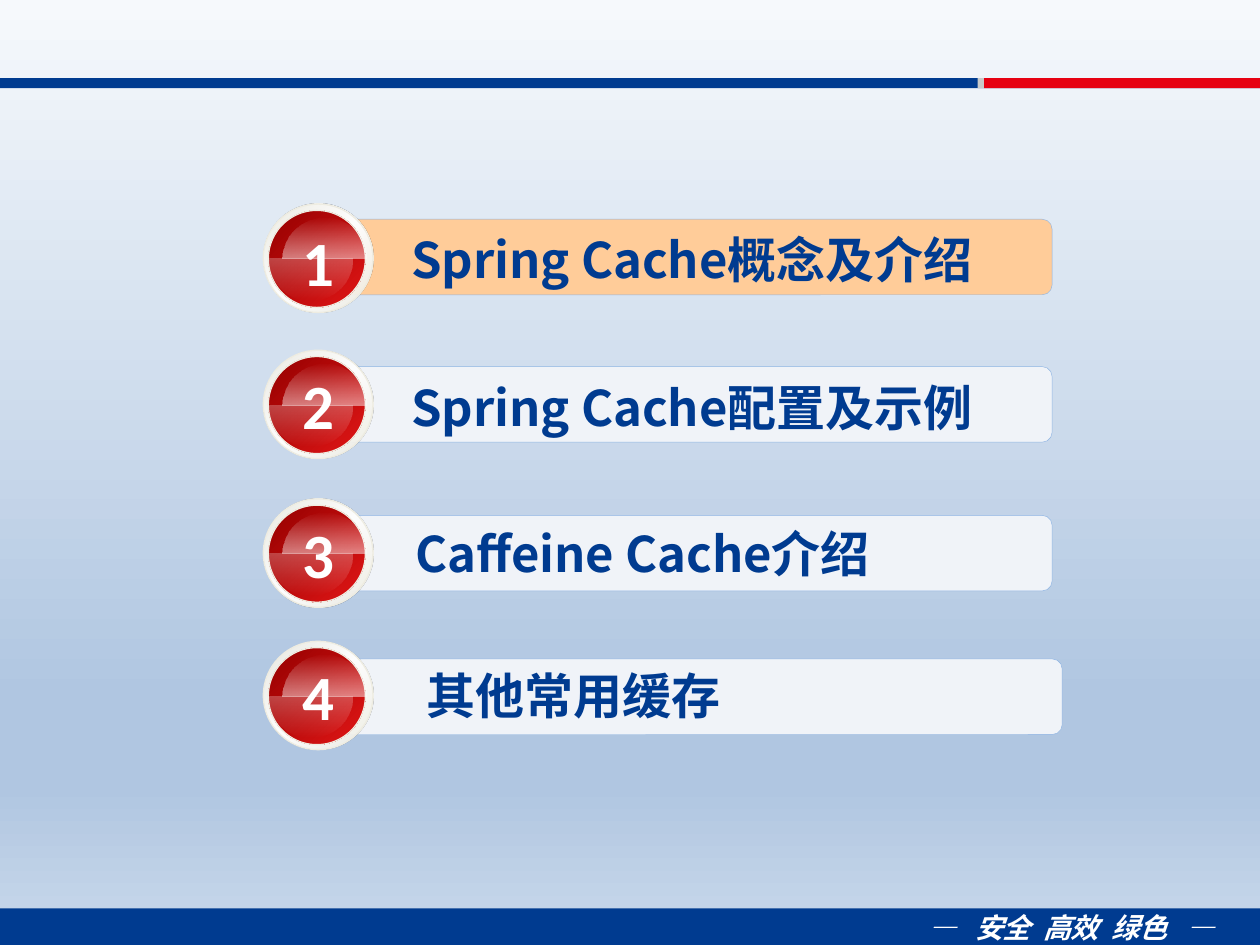
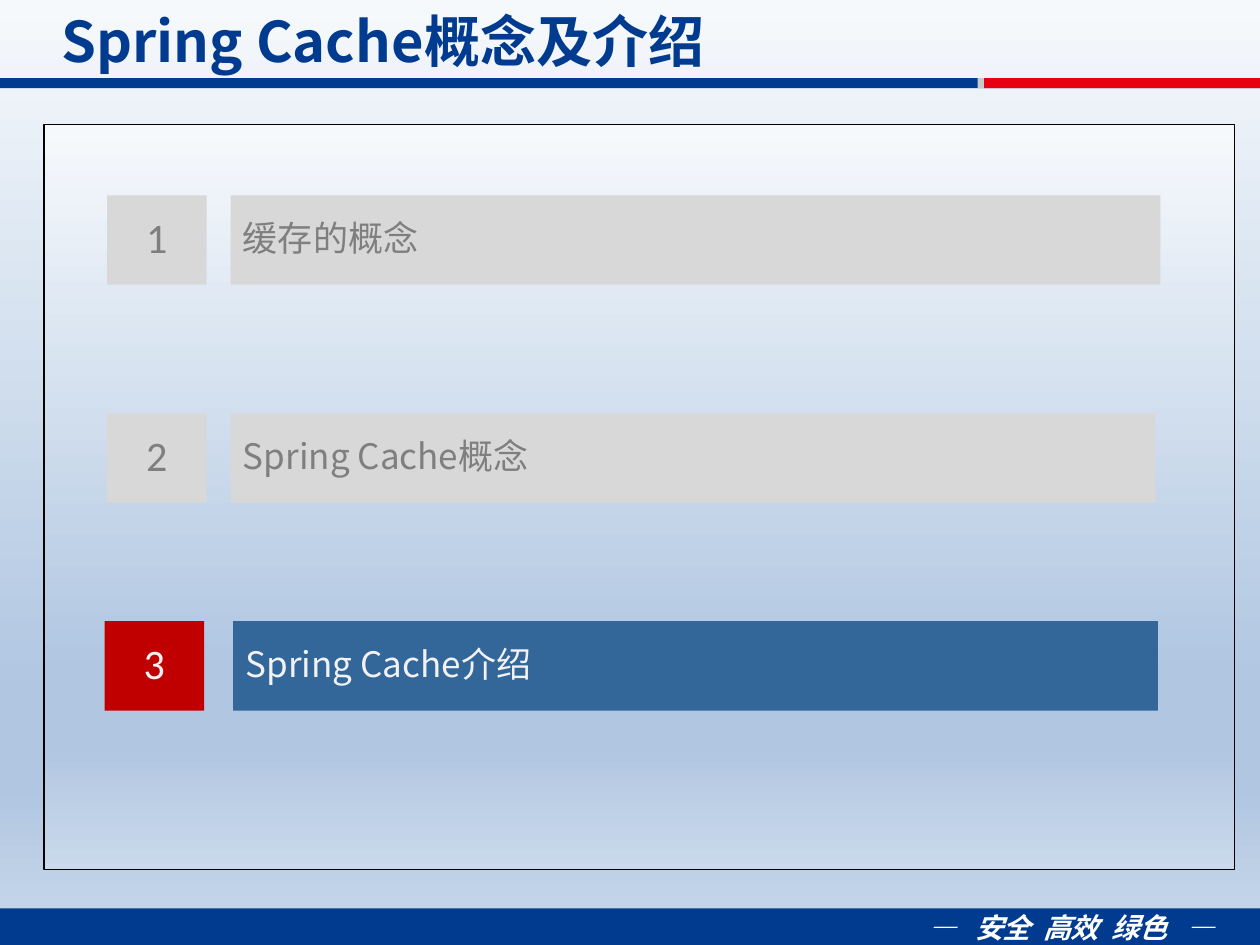
from dataclasses import dataclass
from typing import NamedTuple

from lxml.etree import Element, SubElement
from pptx import Presentation
from pptx.dml.color import RGBColor
from pptx.enum.shapes import MSO_SHAPE as Shape
from pptx.enum.text import MSO_ANCHOR as Anchor, MSO_AUTO_SIZE as AutoSize, PP_ALIGN as Align
from pptx.oxml.ns import qn
from pptx.util import Inches, Pt

# Shared colours and fonts
NAVY = RGBColor(0x00, 0x3B, 0x90)
RED = RGBColor(0xE6, 0x00, 0x12)
SILVER = RGBColor(0xC9, 0xCA, 0xCA)
WHITE = RGBColor(0xFF, 0xFF, 0xFF)
BLACK = RGBColor(0x00, 0x00, 0x00)
PEACH = RGBColor(0xFF, 0xCC, 0x99)
MIST = RGBColor(0xF0, 0xF3, 0xF8)
SKY_EDGE = RGBColor(0x8E, 0xB4, 0xE3)
IVORY = RGBColor(0xEE, 0xEC, 0xE1)
DARK_RED = RGBColor(0x96, 0x00, 0x00)
BRIGHT_RED = RGBColor(0xE0, 0x16, 0x16)
CRIMSON = RGBColor(0xC0, 0x00, 0x00)
STEEL = RGBColor(0x33, 0x66, 0x99)
GREY = RGBColor(0xD8, 0xD8, 0xD8)
GREY_TEXT = RGBColor(0x7F, 0x7F, 0x7F)
PALE_TEXT = RGBColor(0xF2, 0xF2, 0xF2)
ICE = RGBColor(0xF6, 0xF9, 0xFC)
HAZE = RGBColor(0xB0, 0xC6, 0xE1)
HORIZON = RGBColor(0xCA, 0xD9, 0xEB)
CJK_FONT = "Noto Sans CJK SC"
DIGIT_FONT = "Calibri"


class Stop(NamedTuple):
    position: int
    color: RGBColor
    opacity: int = 100


class Area(NamedTuple):
    left: float
    top: float
    width: float
    height: float


@dataclass
class TextStyle:
    size: int
    color: RGBColor
    font: str = CJK_FONT
    bold: bool = False
    italic: bool = False
    align: Align = Align.LEFT
    anchor: Anchor = Anchor.TOP
    line_spacing: float = 1.0
    before: float = 0  # share of the text size


@dataclass
class AgendaEntry:
    text: str
    bar_left: float
    bar_top: float
    label: Area
    bead_top: float
    number_top: float
    fill: RGBColor = MIST


@dataclass
class SectionRow:
    text: str
    top: float
    number_left: float
    bar_left: float
    bar_width: float
    number_fill: RGBColor = GREY
    bar_fill: RGBColor = GREY
    color: RGBColor = GREY_TEXT


SKY = [Stop(0, ICE), Stop(74, HAZE), Stop(83, HAZE), Stop(100, HORIZON)]
RIM = [Stop(0, IVORY, 90), Stop(50, WHITE), Stop(100, IVORY, 90)]
BEAD = [Stop(0, DARK_RED), Stop(100, BRIGHT_RED)]

TITLE_STYLE = TextStyle(32, NAVY, bold=True)
FOOTER_STYLE = TextStyle(16, WHITE, bold=True, italic=True)
LABEL_STYLE = TextStyle(28, NAVY, bold=True, align=Align.CENTER, line_spacing=1.2, before=0.5)
BEAD_STYLE = TextStyle(36, WHITE, DIGIT_FONT, bold=True, align=Align.CENTER, anchor=Anchor.MIDDLE)

FOOTER_WORDS = ["—", "安全", "高效", "绿色", "—"]
FOOTER_TABS = [0.37, 0.91, 1.45, 2.05]

AGENDA = [
    AgendaEntry("Spring Cache概念及介绍", 2.64, 1.74, Area(2.88, 1.68, 5.22, 0.66), 1.62, 1.76, PEACH),
    AgendaEntry("Spring Cache配置及示例", 2.64, 2.91, Area(3.07, 2.85, 4.84, 0.66), 2.78, 2.9),
    AgendaEntry("Caffeine Cache介绍", 2.64, 4.09, Area(2.88, 4.01, 4.44, 0.66), 3.96, 4.08),
    AgendaEntry("其他常用缓存", 2.72, 5.23, Area(2.96, 5.14, 3.18, 0.66), 5.09, 5.21),
]
SECTIONS = [
    SectionRow("缓存的概念", 1.55, 0.85, 1.83, 7.38),
    SectionRow("Spring Cache概念", 3.28, 0.85, 1.83, 7.34),
    SectionRow("Spring Cache介绍", 4.93, 0.83, 1.85, 7.34, CRIMSON, STEEL, PALE_TEXT),
]


def set_gradient(fill, owner, stops: list[Stop], angle: int) -> None:
    """Give the fill of the owner element its colour stops and direction."""
    fill.gradient()
    gradient = next(owner.iter(qn("a:gradFill")))
    gradient.clear()
    gradient.set("rotWithShape", "1")
    stop_list = SubElement(gradient, qn("a:gsLst"))
    for stop in stops:
        entry = SubElement(stop_list, qn("a:gs"), pos=str(stop.position * 1000))
        color = SubElement(entry, qn("a:srgbClr"), val=str(stop.color))
        if stop.opacity < 100:
            SubElement(color, qn("a:alpha"), val=str(stop.opacity * 1000))
    SubElement(gradient, qn("a:lin"), ang=str(angle * 60000), scaled="0")


def paint(shape, fill: RGBColor | list[Stop], angle: int = 90,
          line: RGBColor | None = None, line_width: float = 0.75) -> None:
    shape.shadow.inherit = False
    if isinstance(fill, list):
        set_gradient(shape.fill, shape.element.spPr, fill, angle)
    else:
        shape.fill.solid()
        shape.fill.fore_color.rgb = fill
    if line is None:
        shape.line.fill.background()
    else:
        shape.line.color.rgb = line
        shape.line.width = Pt(line_width)


def add_block(page, kind: Shape, area: Area, fill: RGBColor | list[Stop], **look):
    block = page.shapes.add_shape(kind, *map(Inches, area))
    paint(block, fill, **look)
    return block


def write(shape, text: str, style: TextStyle):
    frame = shape.text_frame
    frame.word_wrap = True
    frame.vertical_anchor = style.anchor
    para = frame.paragraphs[0]
    layout = {"alignment": style.align, "line_spacing": style.line_spacing,
              "space_before": Pt(style.size * style.before)}
    for name, value in layout.items():
        setattr(para, name, value)
    span = para.add_run()
    span.text = text
    look = {"name": style.font, "size": Pt(style.size), "bold": style.bold, "italic": style.italic}
    for name, value in look.items():
        setattr(span.font, name, value)
    span.font.color.rgb = style.color
    SubElement(span.font._element, qn("a:ea"), typeface=style.font)
    return para


def add_text(page, area: Area, text: str, style: TextStyle, grow: bool = True):
    box = page.shapes.add_textbox(*map(Inches, area))
    para = write(box, text, style)
    if grow:
        box.text_frame.auto_size = AutoSize.SHAPE_TO_FIT_TEXT
    return para


def add_page(deck):
    page = deck.slides.add_slide(deck.slide_layouts[6])
    set_gradient(page.background.fill, page.element, SKY, 90)
    return page


def add_bands(page) -> None:
    """Header stripe and footer motto."""
    for left, width, color in [(0, 10, NAVY), (7.81, 2.19, RED), (7.76, 0.05, SILVER)]:
        add_block(page, Shape.RECTANGLE, Area(left, 0.62, width, 0.08), color)
    add_block(page, Shape.RECTANGLE, Area(0, 7.21, 10, 0.31), NAVY)
    motto = add_text(page, Area(7.27, 7.18, 2.85, 0.37), "\t".join(FOOTER_WORDS), FOOTER_STYLE)
    tab_list = SubElement(motto._p.get_or_add_pPr(), qn("a:tabLst"))
    for offset in FOOTER_TABS:
        SubElement(tab_list, qn("a:tab"), pos=str(Inches(offset)), algn="l")


def add_gloss(page, left: float, top: float, rotation: int, opacity: int) -> None:
    """Half disc, round on its left side, turned and fading out towards its rim."""
    radius, handle = 0.33, 0.18
    middle, right, bottom = top + radius, left + radius, top + 2 * radius
    outline = [(right, top), (right - handle, top), (left, middle - handle), (left, middle),
               (left, middle + handle), (right - handle, bottom), (right, bottom), (right, middle)]
    points = [(Inches(x), Inches(y)) for x, y in outline]
    builder = page.shapes.build_freeform(*points[0], scale=1.0)
    builder.add_line_segments(points[1:], close=True)
    gloss = builder.convert_to_shape()
    # Turn the first six segments into two curves
    segments = list(gloss.element.iter(qn("a:lnTo")))[:6]
    for start in (0, 3):
        curve = Element(qn("a:cubicBezTo"))
        segments[start].addprevious(curve)
        for segment in segments[start:start + 3]:
            curve.append(segment[0])
            segment.getparent().remove(segment)
    gloss.rotation = rotation
    paint(gloss, [Stop(0, WHITE, 0), Stop(100, WHITE, opacity)], angle=0)


def add_bead(page, top: float, number_top: float, number: int) -> None:
    add_block(page, Shape.OVAL, Area(2.09, top, 0.87, 0.86), RIM, angle=45, line=IVORY)
    add_block(page, Shape.OVAL, Area(2.13, top + 0.05, 0.77, 0.77), BEAD, angle=45, line=IVORY)
    add_gloss(page, 2.3, top + 0.27, rotation=270, opacity=26)
    add_gloss(page, 2.41, top - 0.06, rotation=90, opacity=50)
    add_text(page, Area(2.22, number_top, 0.61, 0.62), str(number), BEAD_STYLE, grow=False)


def build_agenda(deck) -> None:
    page = add_page(deck)
    add_bands(page)
    for number, entry in enumerate(AGENDA, 1):
        bar = add_block(page, Shape.ROUNDED_RECTANGLE, Area(entry.bar_left, entry.bar_top, 5.71, 0.6),
                        entry.fill, line=SKY_EDGE, line_width=0.25)
        bar.adjustments[0] = 0.13
        add_text(page, entry.label, entry.text, LABEL_STYLE)
        add_bead(page, entry.bead_top, entry.number_top, number)


def build_section(deck) -> None:
    page = add_page(deck)
    add_block(page, Shape.RECTANGLE, Area(0.35, 0.99, 9.45, 5.91), SKY, line=BLACK)
    add_bands(page)
    for number, row in enumerate(SECTIONS, 1):
        common = {"color": row.color, "anchor": Anchor.MIDDLE, "line_spacing": 0.9, "before": 0.2}
        tile = add_block(page, Shape.RECTANGLE, Area(row.number_left, row.top, 0.79, 0.71), row.number_fill)
        write(tile, str(number), TextStyle(24, font=DIGIT_FONT, align=Align.CENTER, **common))
        bar = add_block(page, Shape.RECTANGLE, Area(row.bar_left, row.top, row.bar_width, 0.71), row.bar_fill)
        write(bar, row.text, TextStyle(20, **common))
    add_text(page, Area(0.39, 0, 6.64, 0.64), AGENDA[0].text, TITLE_STYLE)


def main() -> None:
    deck = Presentation()
    deck.slide_width, deck.slide_height = Inches(10), Inches(7.5)
    build_agenda(deck)
    build_section(deck)
    deck.save("out.pptx")


if __name__ == "__main__":
    main()
